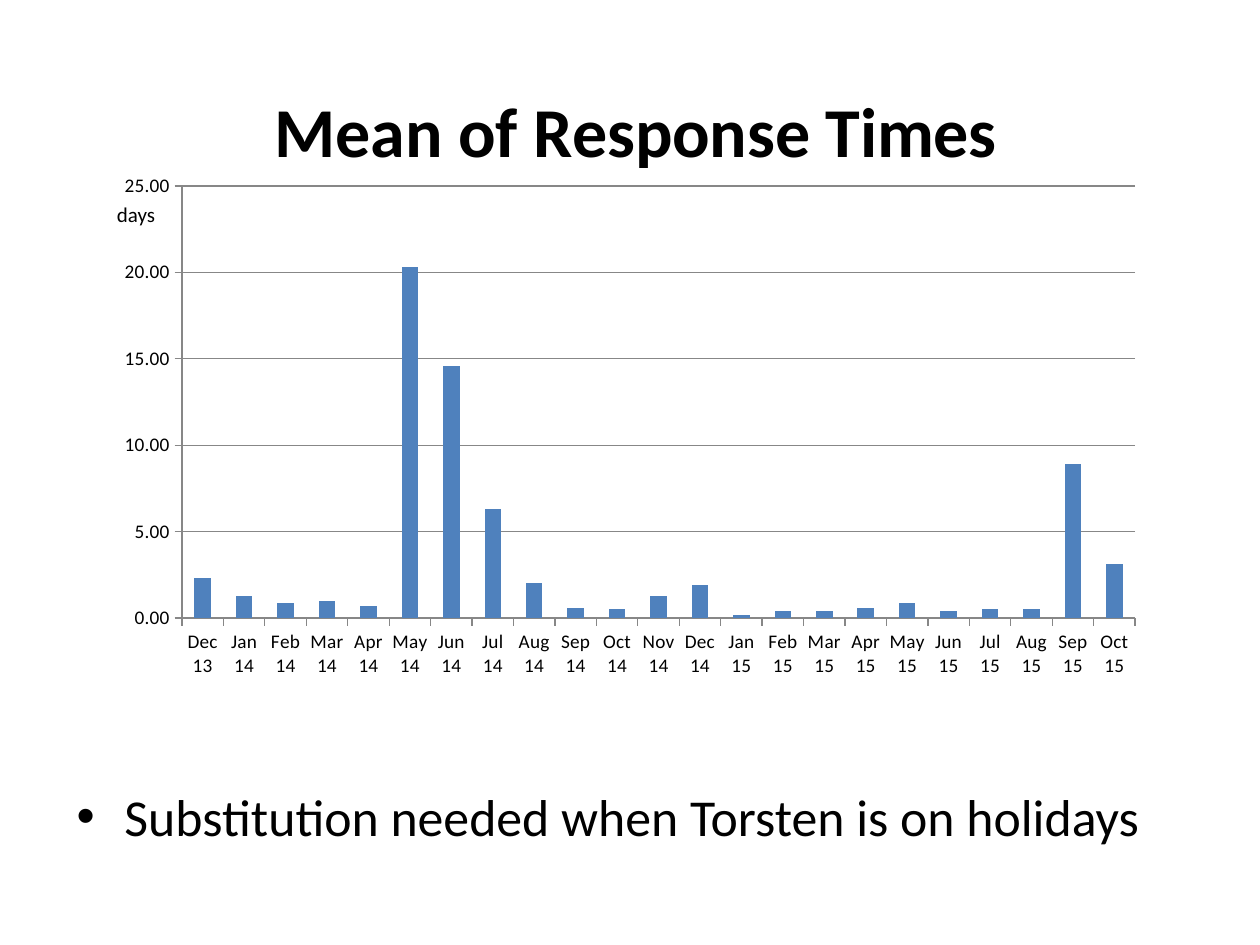
from dataclasses import dataclass

import lxml.etree
import pptx
import pptx.chart.data
import pptx.dml.color
import pptx.enum.chart
import pptx.enum.text
import pptx.oxml
import pptx.oxml.ns
import pptx.util

Inches = pptx.util.Inches
Pt = pptx.util.Pt
qn = pptx.oxml.ns.qn


@dataclass(frozen=True)
class Theme:
    """Colours, font and type sizes of the slide."""
    font: str = "Calibri"
    text: str = "000000"
    bar: str = "4F81BD"
    axis: str = "878787"
    title_size: float = 40
    bullet_size: float = 29.6
    unit_size: float = 12
    axis_size: float = 11
    chart_size: float = 10


MONTHS = "Jan Feb Mar Apr May Jun Jul Aug Sep Oct Nov Dec".split()
FIRST_MONTH = 13 * 12 + 11
RESPONSE_DAYS = [2.3, 1.3, 0.9, 1, 0.7, 20.3, 14.6, 6.3, 2, 0.6, 0.5, 1.3,
                 1.9, 0.2, 0.4, 0.4, 0.6, 0.9, 0.4, 0.5, 0.5, 8.9, 3.1]


def month_labels(first, count):
    """Return consecutive month names with two-digit years."""
    return [f"{MONTHS[month % 12]} {month // 12}"
            for month in range(first, first + count)]


def manual_layout(**settings):
    """Return a c:layout element with the given manual settings."""
    layout = pptx.oxml.parse_xml(
        '<c:layout xmlns:c="http://schemas.openxmlformats.org/drawingml/2006/chart">'
        '<c:manualLayout/></c:layout>')
    for name, value in settings.items():
        lxml.etree.SubElement(layout[0], qn(f"c:{name}")).set("val", str(value))
    return layout


class SlideBuilder:
    """Adds styled elements to the current slide."""

    def __init__(self, slide, theme):
        """Keep the slide and its theme."""
        self.slide = slide
        self.theme = theme

    def style_font(self, font, size, bold=False):
        """Apply the theme's typeface and colour at a given size."""
        font.name = self.theme.font
        font.size = Pt(size)
        font.bold = bold
        font.color.rgb = pptx.dml.color.RGBColor.from_string(self.theme.text)

    def style_line(self, line):
        """Draw a thin line in the axis colour."""
        line.color.rgb = pptx.dml.color.RGBColor.from_string(self.theme.axis)
        line.width = Pt(0.75)

    def add_text(self, text, left, top, width, height, size, wrap=True):
        """Add a one-paragraph text box and return its paragraph."""
        shape = self.slide.shapes.add_textbox(
            Inches(left), Inches(top), Inches(width), Inches(height))
        shape.text_frame.word_wrap = wrap
        paragraph = shape.text_frame.paragraphs[0]
        paragraph.text = text
        self.style_font(paragraph.font, size)
        return paragraph

    def add_bullet(self, text, left, top, width, height):
        """Add a bulleted statement with a hanging indent."""
        paragraph = self.add_text(text, left, top, width, height,
                                  self.theme.bullet_size)
        paragraph.space_before = Pt(6)
        properties = paragraph._p.get_or_add_pPr()
        properties.set("marL", str(Inches(0.38)))
        properties.set("indent", str(-Inches(0.38)))
        font = lxml.etree.SubElement(properties, qn("a:buFont"))
        font.set("typeface", "Arial")
        bullet = lxml.etree.SubElement(properties, qn("a:buChar"))
        bullet.set("char", "•")
        properties.append(properties.find(qn("a:defRPr")))

    def add_column_chart(self, title, categories, values, left, top, width, height):
        """Add a single-series column chart with a title."""
        data = pptx.chart.data.CategoryChartData()
        data.categories = categories
        data.add_series("Series 1", values)
        chart = self.slide.shapes.add_chart(
            pptx.enum.chart.XL_CHART_TYPE.COLUMN_CLUSTERED,
            Inches(left), Inches(top), Inches(width), Inches(height), data).chart
        self.style_font(chart.font, self.theme.chart_size)
        chart.has_legend = False

        chart.has_title = True
        paragraph = chart.chart_title.text_frame.paragraphs[0]
        paragraph.text = title
        self.style_font(paragraph.font, self.theme.title_size, bold=True)
        chart.chart_title.include_in_layout = False

        plot = chart.plots[0]
        plot.gap_width = 150
        plot.vary_by_categories = False
        fill = plot.series[0].format.fill
        fill.solid()
        fill.fore_color.rgb = pptx.dml.color.RGBColor.from_string(self.theme.bar)
        for axis in (chart.category_axis, chart.value_axis):
            self.style_font(axis.tick_labels.font, self.theme.axis_size)
            axis.major_tick_mark = pptx.enum.chart.XL_TICK_MARK.OUTSIDE
            self.style_line(axis.format.line)
        axis = chart.value_axis
        axis.minimum_scale, axis.maximum_scale, axis.major_unit = 0, 25, 5
        axis.tick_labels.number_format = "#,##0.00"
        axis.tick_labels.number_format_is_linked = False
        axis.has_major_gridlines = True
        self.style_line(axis.major_gridlines.format.line)
        self.place_chart_parts(chart)

    def place_chart_parts(self, chart):
        """Fix the places of the chart title and the plot area."""
        title = chart.chart_title._element
        area = chart._chartSpace.chart.plotArea
        for parent in (title, area):
            for layout in parent.findall(qn("c:layout")):
                parent.remove(layout)
        title.find(qn("c:tx")).addnext(
            manual_layout(xMode="edge", yMode="edge", x=0.15, y=0.04))
        area.insert(0, manual_layout(
            layoutTarget="inner", xMode="edge", yMode="edge",
            x=0.0736, y=0.218, w=0.906, h=0.67))


def main():
    """Build and save the presentation."""
    presentation = pptx.Presentation()
    presentation.slide_width = Inches(10)
    presentation.slide_height = Inches(7.5)
    theme = Theme()
    slide = presentation.slides.add_slide(presentation.slide_layouts[6])
    builder = SlideBuilder(slide, theme)
    builder.add_column_chart(
        "Mean of Response Times", month_labels(FIRST_MONTH, len(RESPONSE_DAYS)),
        RESPONSE_DAYS, 0.83, 0.36, 8.35, 5.12)
    builder.add_bullet("Substitution needed when Torsten is on holidays",
                       0.51, 6.18, 9.13, 0.82)
    builder.add_text("days", 0.83, 1.55, 0.51, 0.3, theme.unit_size, wrap=False)
    presentation.save("out.pptx")


main()
